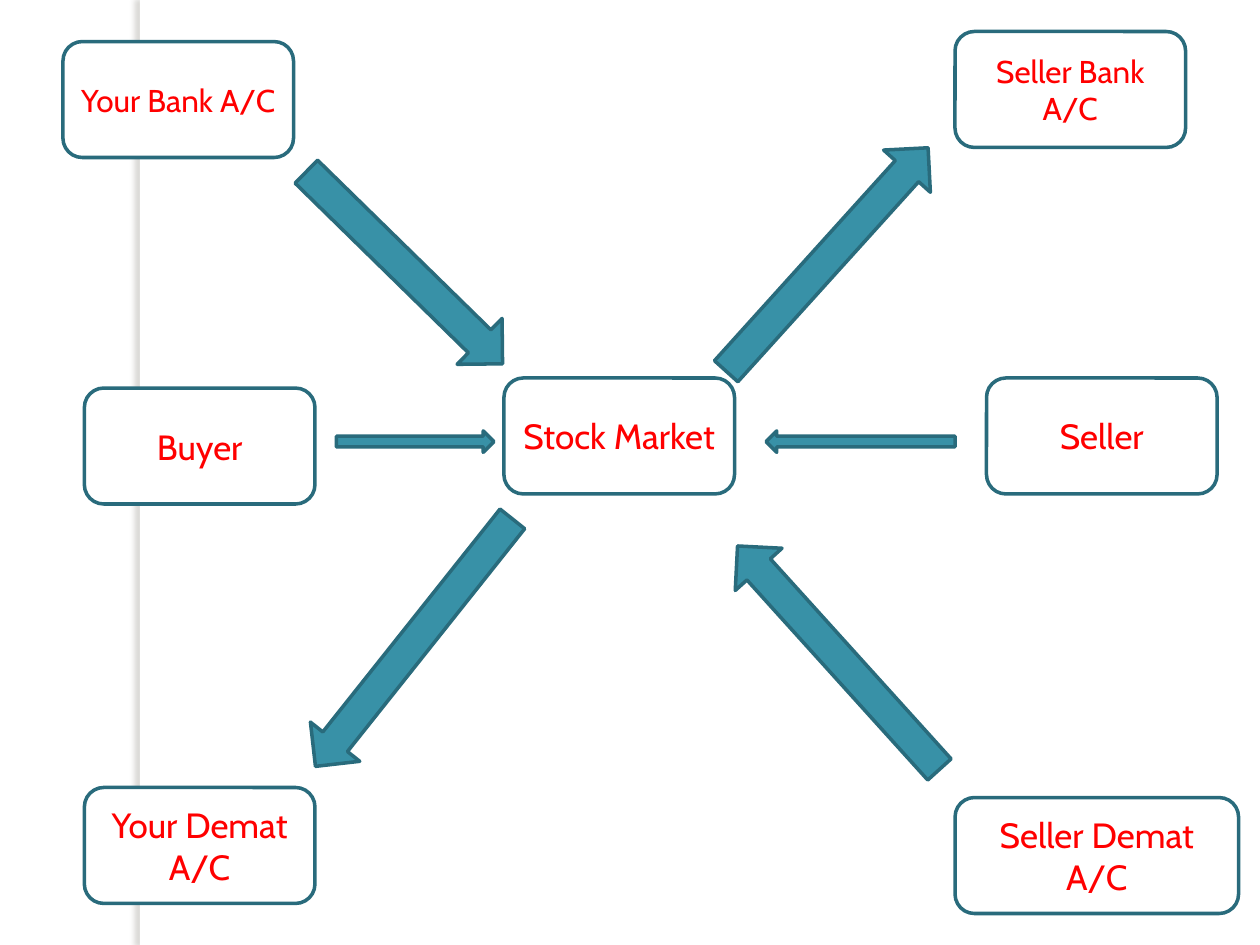
from pptx import Presentation
from pptx.dml.color import RGBColor
from pptx.enum.shapes import MSO_SHAPE
from pptx.enum.text import MSO_ANCHOR, PP_ALIGN
from pptx.oxml import parse_xml
from pptx.oxml.ns import nsdecls
from pptx.util import Inches, Pt

RECT, ROUNDED = MSO_SHAPE.RECTANGLE, MSO_SHAPE.ROUNDED_RECTANGLE
RIGHT, LEFT = MSO_SHAPE.RIGHT_ARROW, MSO_SHAPE.LEFT_ARROW
MIDDLE, CENTER = MSO_ANCHOR.MIDDLE, PP_ALIGN.CENTER

WHITE, TEAL, DARK_TEAL, RED = "FFFFFF", "3891A7", "296B7C", "FF0000"
BOX_WIDTH, BOX_HEIGHT = 1.83, 0.92

# Label, left, top, width, text size
PARTIES = [
    ("Your Bank A/C", 0.5, 0.33, BOX_WIDTH, 18),
    ("Seller Demat A/C", 7.58, 6.33, 2.25, 20),
    ("Your Demat A/C", 0.67, 6.25, BOX_WIDTH, 20),
    ("Stock Market", 4, 3, BOX_WIDTH, 20),
    ("Seller Bank A/C", 7.58, 0.25, BOX_WIDTH, 18),
    ("Buyer", 0.67, 3.08, BOX_WIDTH, 20),
    ("Seller", 7.83, 3, BOX_WIDTH, 20),
]

# Preset, left, top, width, height, rotation
FLOWS = [
    (RIGHT, 2.67, 3.42, 1.25, 0.17, 0),       # buyer to market
    (LEFT, 6.08, 3.42, 1.5, 0.17, 0),         # seller to market
    (RIGHT, 2.12, 1.87, 2.18, 0.51, 44.4),    # your bank to market
    (RIGHT, 5.46, 4.97, 2.39, 0.5, 227.9),    # seller demat to market
    (RIGHT, 5.37, 1.81, 2.39, 0.5, 312.1),    # market to seller bank
    (RIGHT, 2.03, 4.85, 2.51, 0.5, 128.5),    # market to your demat
]


def color(hex_code):
    return RGBColor.from_string(hex_code)


def add_part(slide, preset, bounds, fill, line=None):
    part = slide.shapes.add_shape(preset, *(Inches(v) for v in bounds))
    part.shadow.inherit = False
    part.fill.solid()
    part.fill.fore_color.rgb = color(fill)
    if line:
        part.line.color.rgb = color(line)
        part.line.width = Pt(2)
    else:
        part.line.fill.background()
    return part


def add_side_strip(slide):
    strip = add_part(slide, RECT, (1.11, 0, 0.08, 7.5), WHITE)
    strip.shadow.inherit = True
    strip.element.spPr.append(parse_xml(
        f'<a:effectLst {nsdecls("a")}>'
        f'<a:outerShdw blurRad="{Pt(3)}" dist="{Pt(3)}" dir="10800000" '
        'algn="tl" rotWithShape="0">'
        '<a:srgbClr val="736F63"><a:alpha val="25000"/></a:srgbClr>'
        '</a:outerShdw></a:effectLst>'))


def add_party(slide, label, left, top, width, size):
    box = add_part(slide, ROUNDED, (left, top, width, BOX_HEIGHT), WHITE, DARK_TEAL)
    frame = box.text_frame
    frame.word_wrap = True
    frame.vertical_anchor = MIDDLE
    paragraph = frame.paragraphs[0]
    paragraph.text = label
    paragraph.alignment = CENTER
    font = paragraph.runs[0].font
    for name, value in {"name": "Cabin", "size": Pt(size)}.items():
        setattr(font, name, value)
    font.color.rgb = color(RED)


def main():
    deck = Presentation()
    deck.slide_width, deck.slide_height = Inches(10), Inches(7.5)
    slide = deck.slides.add_slide(deck.slide_layouts[6])

    add_side_strip(slide)
    for party in PARTIES:
        add_party(slide, *party)
    for preset, *bounds, rotation in FLOWS:
        add_part(slide, preset, bounds, TEAL, DARK_TEAL).rotation = rotation

    deck.save("out.pptx")


if __name__ == "__main__":
    main()
